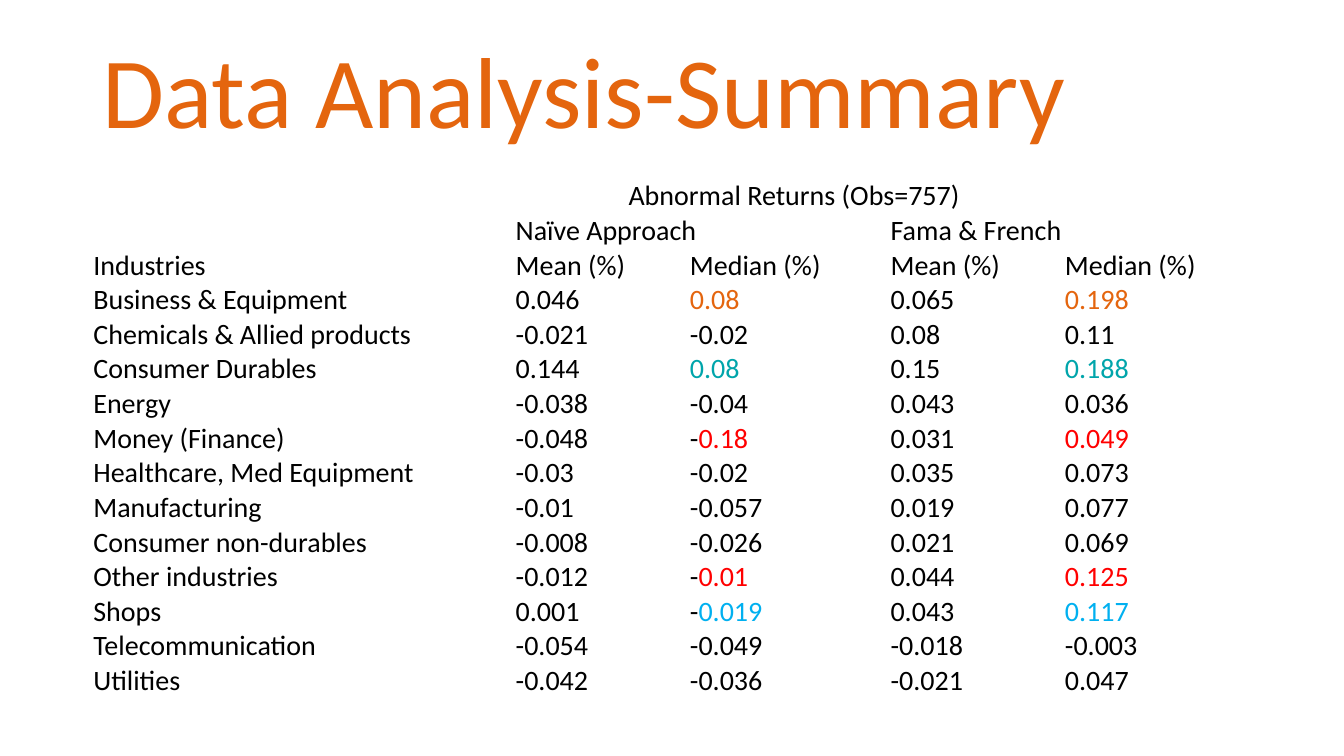
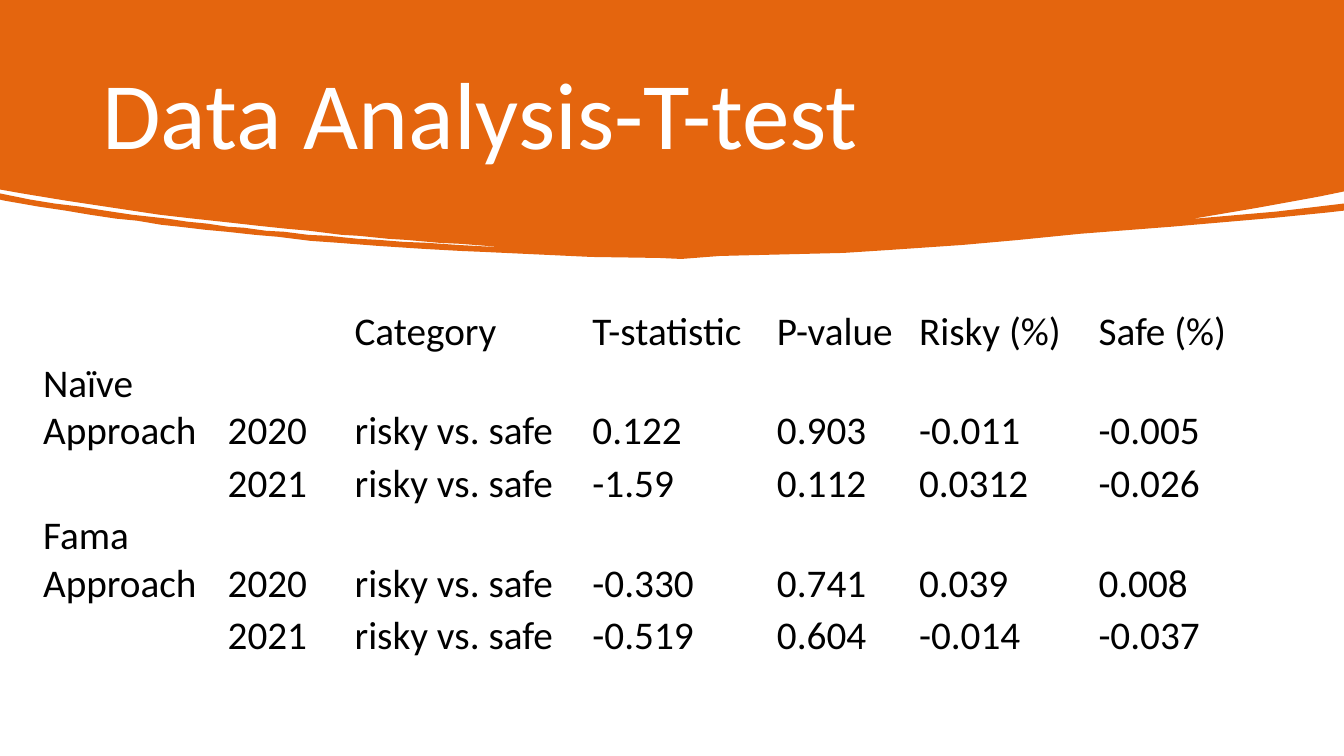
from pptx import Presentation
from pptx.dml.color import RGBColor
from pptx.enum import text
from pptx.util import Pt

FONT = "Calibri"
ORANGE, TEAL, RED, BLUE = "E4650E", "00A5AB", "FF0000", "00B0F0"
BLACK, WHITE = "000000", "FFFFFF"
LEFT, JUSTIFY = text.PP_ALIGN.LEFT, text.PP_ALIGN.JUSTIFY

SUMMARY_HEADS = [
    ["", "", "Abnormal Returns (Obs=757)", "", "", ""],
    ["", "Naïve Approach", "", "", "Fama & French", ""],
    ["Industries", "Mean (%)", "", "Median (%)", "Mean (%)", "Median (%)"],
]
INDUSTRIES = [
    ("Business & Equipment", "0.046", "0.08", "0.065", "0.198"),
    ("Chemicals & Allied products", "-0.021", "-0.02", "0.08", "0.11"),
    ("Consumer Durables", "0.144", "0.08", "0.15", "0.188"),
    ("Energy", "-0.038", "-0.04", "0.043", "0.036"),
    ("Money (Finance)", "-0.048", "-0.18", "0.031", "0.049"),
    ("Healthcare, Med Equipment", "-0.03", "-0.02", "0.035", "0.073"),
    ("Manufacturing", "-0.01", "-0.057", "0.019", "0.077"),
    ("Consumer non-durables", "-0.008", "-0.026", "0.021", "0.069"),
    ("Other industries", "-0.012", "-0.01", "0.044", "0.125"),
    ("Shops", "0.001", "-0.019", "0.043", "0.117"),
    ("Telecommunication", "-0.054", "-0.049", "-0.018", "-0.003"),
    ("Utilities", "-0.042", "-0.036", "-0.021", "0.047"),
]
HIGHLIGHTS = {
    "Business & Equipment": ORANGE,
    "Consumer Durables": TEAL,
    "Money (Finance)": RED,
    "Other industries": RED,
    "Shops": BLUE,
}
MEDIAN_COLS = (3, 5)
SUMMARY_WIDTHS = [301.7, 80.6, 43.9, 143.3, 124.6, 133.9]

T_TEST = [
    ["", "", "Category", "T-statistic", "P-value", "Risky (%)", "Safe (%)"],
    ["Naïve Approach", "2020", "risky vs. safe", "0.122", "0.903", "-0.011", "-0.005"],
    ["", "2021", "risky vs. safe", "-1.59", "0.112", "0.0312", "-0.026"],
    ["Fama Approach", "2020", "risky vs. safe", "-0.330", "0.741", "0.039", "0.008"],
    ["", "2021", "risky vs. safe", "-0.519", "0.604", "-0.014", "-0.037"],
]
T_TEST_WIDTHS = [131.8, 90.7, 169.9, 131.8, 101.5, 128.2, 109.4]
T_TEST_HEIGHTS = [37.4, 71.3, 37.4, 71.3, 37.4]

BAND_TOP = [(0, 0), (960, 0)]
BAND_RIGHT = [
    (960, 136.8), (942.5, 140.4), (897.5, 148.6), (852.5, 156.2), (846, 157),
    (853.9, 156.2), (911.5, 151.2), (960, 145.4),
]
BAND_LOWER_EDGE = [
    (960, 150.5), (947.5, 151.9), (911.5, 155.5), (836.6, 162), (771.8, 167),
    (727.9, 171.4), (687.6, 175), (635, 178.6), (602.6, 180.7), (514.1, 182.9),
    (486.7, 185), (470.9, 184.3), (422.6, 183.6), (345.6, 180), (329, 179.3),
    (302.4, 177.8), (270, 175.7), (241.9, 173.5), (221.8, 172.1), (198.7, 169.2),
    (182.2, 167.8), (162, 165.6), (146.9, 164.2), (128.2, 162), (115.2, 160.6),
    (97.9, 157.7), (82.8, 156.2), (64.1, 153.4), (46.8, 150.5), (27.4, 147.6),
    (2.9, 143.3), (0, 142.6),
]
BAND_LEFT_SLIT = [
    (0, 138.2), (21.6, 142.6), (38.9, 145.4), (56.9, 147.6), (74.9, 150.5),
    (94.3, 153.4), (119.5, 156.2), (133.9, 158.4), (148.3, 159.8), (162.7, 162),
    (174.2, 162.7), (190.1, 164.9), (203, 165.6), (220.3, 167.8), (234.7, 168.5),
    (255.6, 170.6), (270.7, 171.4), (288, 172.8), (305.3, 173.5), (326.9, 175),
    (352.1, 176.4), (362.9, 176.4), (356.4, 176.4), (329, 174.2), (313.9, 173.5),
    (290.2, 171.4), (277.2, 170.6), (256.3, 168.5), (244.1, 167.8), (221, 164.9),
    (204.5, 163.4), (184.3, 161.3), (164.9, 159.1), (138.2, 156.2), (113.8, 153.4),
    (79.9, 148.3), (46.8, 143.3), (15.8, 138.2), (0, 135.4),
]


def rgb(value):
    """Turn a hex string into a colour."""
    return RGBColor.from_string(value)


def add_run(p, words, size, color=BLACK):
    """Append formatted text to a paragraph."""
    r = p.add_run()
    r.text = words
    r.font.name, r.font.size, r.font.bold = FONT, Pt(size), False
    r.font.color.rgb = rgb(color)


def add_slide(prs):
    """Add a blank slide on white."""
    s = prs.slides.add_slide(prs.slide_layouts[6])
    s.background.fill.solid()
    s.background.fill.fore_color.rgb = rgb(WHITE)
    return s


def add_title(s, words, top, height, size, color):
    """Place the slide title."""
    tf = s.shapes.add_textbox(Pt(66), Pt(top), Pt(828), Pt(height)).text_frame
    tf.word_wrap = True
    tf.vertical_anchor = text.MSO_ANCHOR.MIDDLE
    p = tf.paragraphs[0]
    p.line_spacing = 0.9
    add_run(p, words, size, color)


def fill_cell(cell, words, size, color=BLACK, align=JUSTIFY):
    """Write a plain cell, keeping a coloured number's minus sign black."""
    cell.fill.background()
    cell.vertical_anchor = text.MSO_ANCHOR.BOTTOM
    cell.margin_left = cell.margin_right = cell.margin_top = Pt(0.7)
    cell.margin_bottom = Pt(0)
    p = cell.text_frame.paragraphs[0]
    p.alignment = align
    if color != BLACK and words.startswith("-"):
        add_run(p, "-", size)
        words = words[1:]
    if words:
        add_run(p, words, size, color)


def add_grid(s, left, top, widths, heights):
    """Add an unstyled table with the given column widths and row heights."""
    frame = s.shapes.add_table(len(heights), len(widths), Pt(left), Pt(top),
                               Pt(sum(widths)), Pt(sum(heights)))
    table = frame.table
    table.first_row = table.horz_banding = False
    for column, width in zip(table.columns, widths):
        column.width = Pt(width)
    for row, height in zip(table.rows, heights):
        row.height = Pt(height)
    return table


def add_band(s):
    """Draw the curved band behind the title."""
    start, *rest = [(Pt(x), Pt(y)) for x, y in
                    BAND_TOP + BAND_RIGHT + BAND_LOWER_EDGE + BAND_LEFT_SLIT]
    builder = s.shapes.build_freeform(*start)
    builder.add_line_segments(rest, close=True)
    sp = builder.convert_to_shape()
    sp.shadow.inherit = False
    sp.fill.solid()
    sp.fill.fore_color.rgb = rgb(ORANGE)
    sp.line.fill.background()


def build_summary(prs):
    """Build the slide of abnormal returns by industry."""
    s = add_slide(prs)
    add_title(s, "Data Analysis-Summary", 22.3, 92.2, 72, ORANGE)
    rows = SUMMARY_HEADS + [[name, mean, "", *others] for name, mean, *others in INDUSTRIES]
    table = add_grid(s, 66, 127.4, SUMMARY_WIDTHS, [24.5] * len(rows))
    for i, row in enumerate(rows):
        for j, words in enumerate(row):
            color = HIGHLIGHTS.get(row[0], BLACK) if j in MEDIAN_COLS else BLACK
            is_number = i >= len(SUMMARY_HEADS) and j > 0
            fill_cell(table.cell(i, j), words, 20, color, JUSTIFY if is_number else LEFT)
    spans = [(0, 2, 4), (1, 1, 3), (1, 4, 5)] + [(i, 1, 2) for i in range(2, len(rows))]
    for i, first, last in spans:
        table.cell(i, first).merge(table.cell(i, last))


def build_t_test(prs):
    """Build the slide of t-test results."""
    s = add_slide(prs)
    add_band(s)
    add_title(s, "Data Analysis-T-test", 31.7, 105.8, 68, WHITE)
    table = add_grid(s, 30.2, 216.7, T_TEST_WIDTHS, T_TEST_HEIGHTS)
    for i, row in enumerate(T_TEST):
        for j, words in enumerate(row):
            fill_cell(table.cell(i, j), words, 28)


def main():
    """Build and save the presentation."""
    prs = Presentation()
    prs.slide_width, prs.slide_height = Pt(960), Pt(540)
    build_summary(prs)
    build_t_test(prs)
    prs.save("out.pptx")


if __name__ == "__main__":
    main()
